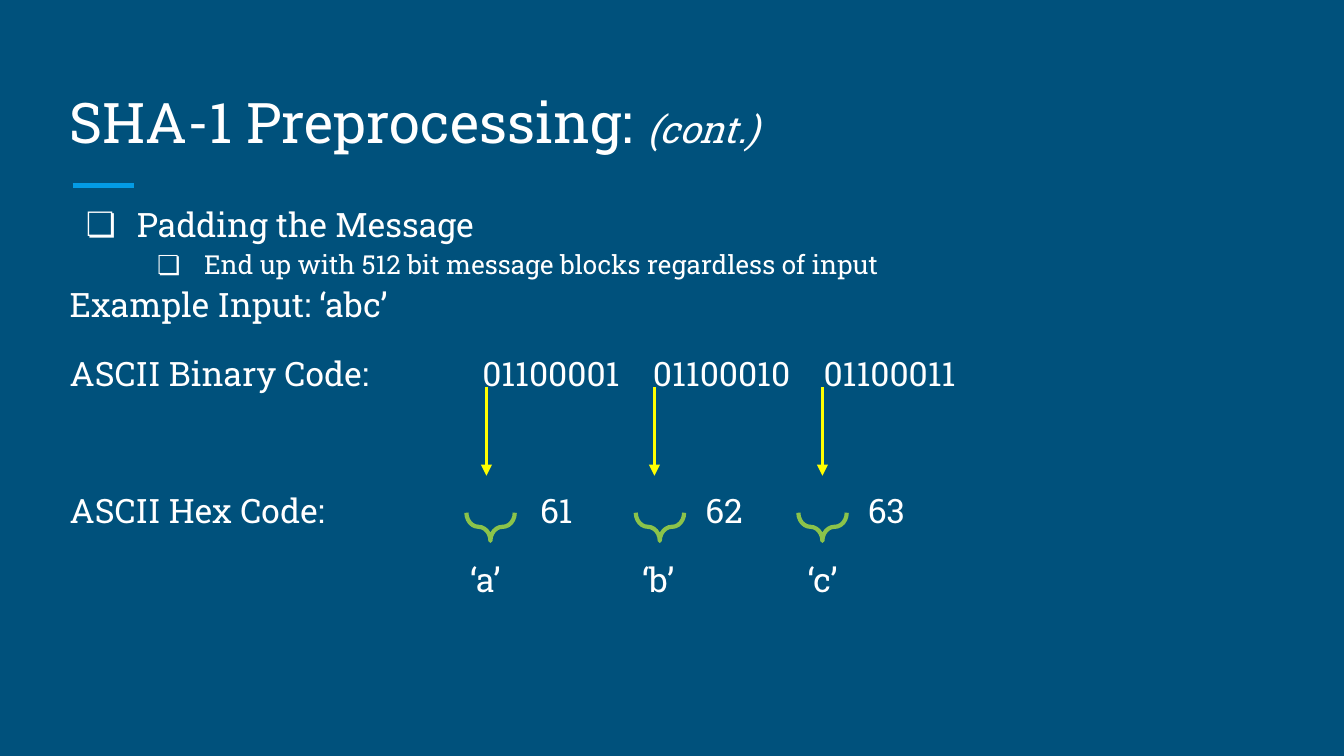
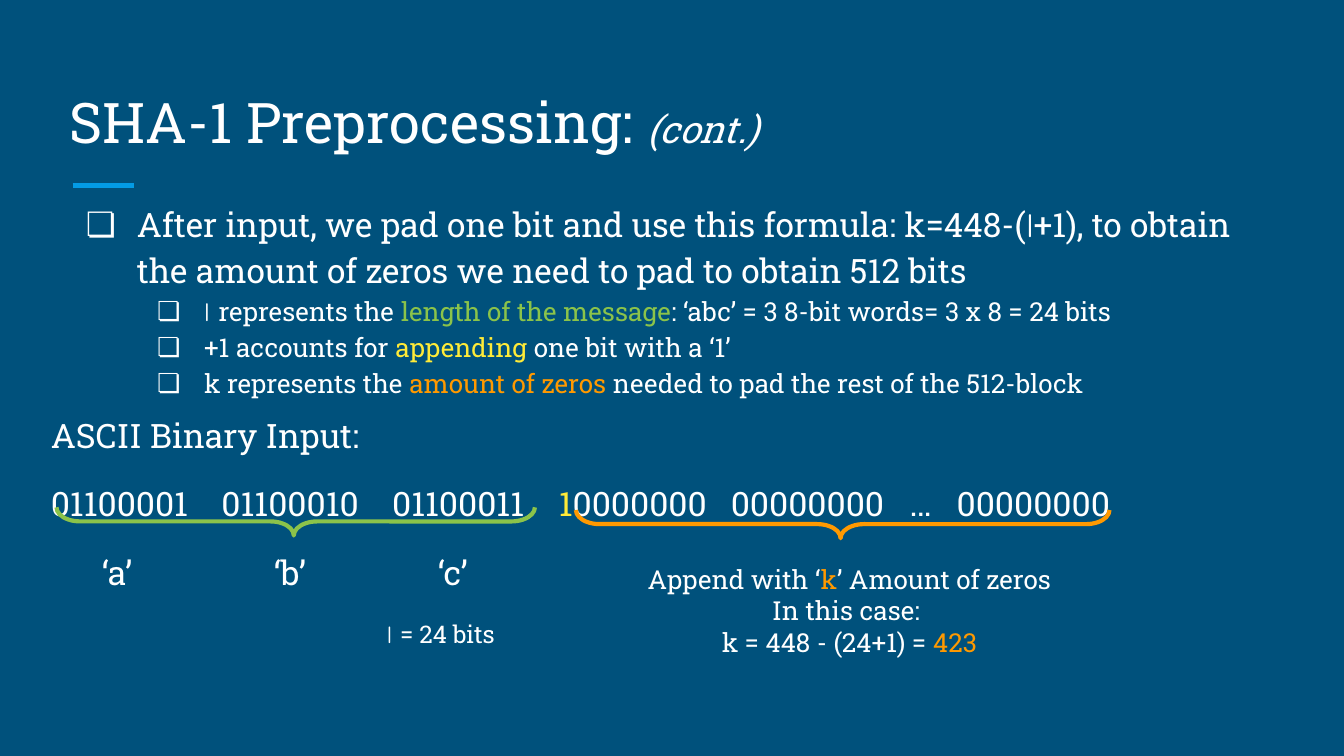
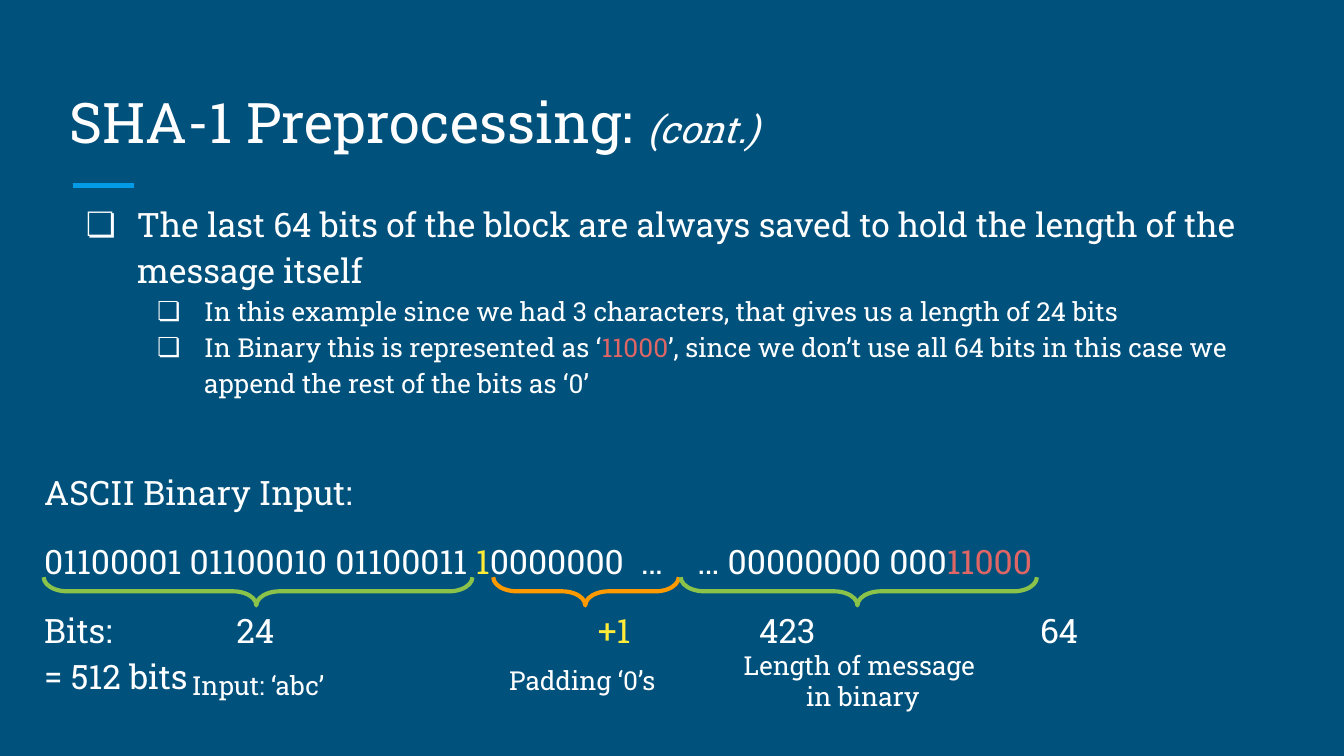
from lxml import etree
from pptx import Presentation
from pptx.dml.color import RGBColor
from pptx.enum import shapes, text
from pptx.oxml import ns
from pptx.util import Inches, Pt

NAVY, BLUE, WHITE = "00517C", "039BE5", "FFFFFF"
GREEN, YELLOW, ORANGE, RED = "8BC34A", "FFEB38", "FF9900", "E06666"
ARROW = "FFFF00"
SLAB, COMIC = "Roboto Slab", "Comic Neue"
PAD = 0.1
# Left indent, hanging indent and text size of each bullet level
LEVELS = [(0.5, -0.38, 18), (1, -0.35, 14)]


def rgb(code):
    return RGBColor.from_string(code)


def sub(parent, tag, **attrs):
    return etree.SubElement(parent, ns.qn(tag), attrs)


class Deck:
    def __init__(self):
        self.prs = Presentation()
        self.prs.slide_width, self.prs.slide_height = Inches(10), Inches(10 * 9 / 16)
        fill = self.prs.slide_master.background.fill
        fill.solid()
        fill.fore_color.rgb = rgb(NAVY)

    def page(self, title, note):
        """Start a slide with its title and the short rule below it."""
        self.slide = self.prs.slides.add_slide(self.prs.slide_layouts[5])
        head = self.slide.shapes.title
        head.left, head.top = Inches(0.42), Inches(0.5)
        head.width, head.height = Inches(9.15), Inches(0.75)
        frame = self.frame(head, text.MSO_ANCHOR.BOTTOM)
        para = frame.paragraphs[0]
        self.fill(para, [title, note], 30)
        para.alignment = text.PP_ALIGN.LEFT
        para.runs[1].font.size = Pt(20)
        para.runs[1].font.italic = True
        self.line((0.54, 1.38), (1, 1.38), BLUE, 3)

    def frame(self, shape, anchor=text.MSO_ANCHOR.TOP):
        frame = shape.text_frame
        frame.word_wrap = True
        frame.auto_size = text.MSO_AUTO_SIZE.NONE
        frame.vertical_anchor = anchor
        frame.margin_left = frame.margin_right = Inches(PAD)
        frame.margin_top = frame.margin_bottom = Inches(PAD)
        return frame

    def fill(self, para, parts, size):
        """Add runs; a part is a string or (string, colour[, font])."""
        font = para.font
        font.size, font.name, font.color.rgb = Pt(size), SLAB, rgb(WHITE)
        for part in [parts] if isinstance(parts, str) else parts:
            words, *look = [part] if isinstance(part, str) else part
            run = para.add_run()
            run.text = words
            if look:
                run.font.color.rgb = rgb(look[0])
            if look[1:]:
                run.font.name = look[1]

    def box(self, x, y, w, h):
        shape = self.slide.shapes.add_textbox(*map(Inches, (x, y, w, h)))
        return self.frame(shape)

    def paras(self, frame, count):
        return [frame.paragraphs[0]] + [frame.add_paragraph() for _ in range(count - 1)]

    def bullets(self, height, *items):
        """Items are (level, parts)."""
        frame = self.box(0.42, 1.37, 9.15, height)
        for para, (level, parts) in zip(self.paras(frame, len(items)), items):
            left, hang, size = LEVELS[level]
            para.level = level
            prop = para._p.get_or_add_pPr()
            prop.set("marL", str(Inches(left)))
            prop.set("indent", str(Inches(hang)))
            sub(sub(prop, "a:buClr"), "a:srgbClr", val=WHITE)
            sub(prop, "a:buFont", typeface=SLAB)
            sub(prop, "a:buChar", char="❏")
            self.fill(para, parts, size)
            para.line_spacing = 1.15

    def rows(self, x, y, w, h, *items):
        """Items are (parts, tab places on the slide, space before, size)."""
        frame = self.box(x, y, w, h)
        for para, (parts, tabs, gap, size) in zip(self.paras(frame, len(items)), items):
            if tabs:
                stops = sub(para._p.get_or_add_pPr(), "a:tabLst")
                for tab in tabs:
                    sub(stops, "a:tab", pos=str(Inches(tab - x - PAD)), algn="l")
            self.fill(para, parts, size)
            para.line_spacing = 1.15
            para.space_before = Pt(gap)

    def label(self, x, y, w, h, *lines, align=text.PP_ALIGN.CENTER):
        frame = self.box(x, y, w, h)
        for para, parts in zip(self.paras(frame, len(lines)), lines):
            self.fill(para, parts, 14)
            para.alignment = align

    def brace(self, mid, y, span, color=GREEN):
        """Brace pointing down, centred on (mid, y)."""
        deep = 0.21
        shape = self.slide.shapes.add_shape(
            shapes.MSO_SHAPE.RIGHT_BRACE, Inches(mid - deep / 2),
            Inches(y - span / 2), Inches(deep), Inches(span))
        shape.rotation = 90
        shape.adjustments[0], shape.adjustments[1] = 0.834, 0.504
        shape.shadow.inherit = False
        shape.fill.background()
        shape.line.color.rgb, shape.line.width = rgb(color), Pt(2.25)

    def line(self, start, end, color, width, arrow=False):
        link = self.slide.shapes.add_connector(
            shapes.MSO_CONNECTOR.STRAIGHT, *map(Inches, start + end))
        link.line.color.rgb, link.line.width = rgb(color), Pt(width)
        if arrow:
            sub(link.line._get_or_add_ln(), "a:tailEnd", type="triangle")
        sub(link._element.spPr, "a:effectLst")


def main():
    deck = Deck()
    title = ("SHA-1 Preprocessing: ", "(cont.)")
    ell = ("l", WHITE, COMIC)

    # Slide 1: input as binary and hex
    deck.page(*title)
    deck.bullets(0.82, (0, "Padding the Message"),
                 (1, "End up with 512 bit message blocks regardless of input"))
    deck.rows(0.42, 1.97, 8.66, 2.83,
              ("Example Input: ‘abc’", [], 0, 18),
              ("ASCII Binary Code:\t01100001\t01100010\t01100011", [3.59, 4.86, 6.13], 12, 18),
              ("ASCII Hex Code:\t61\t62\t63", [4.02, 5.25, 6.46], 48.5, 18),
              ("\t‘a’\t‘b’\t‘c’", [3.5, 4.78, 6.01], 12, 18))
    for mid in (3.65, 4.91, 6.12):
        deck.brace(mid, 3.92, 0.36)
    for x in (3.62, 4.87, 6.12):
        deck.line((x, 2.88), (x, 3.54), ARROW, 1.5, arrow=True)

    # Slide 2: padding with zeros
    deck.page(*title)
    deck.bullets(
        2.18,
        (0, ["After input, we pad one bit and use this formula: k=448-(", ell,
             "+1), to obtain the amount of zeros we need to pad to obtain 512 bits"]),
        (1, [("l ", WHITE, COMIC), "represents the ", ("length of the message", GREEN),
             ": ‘abc’ = 3 8-bit words= 3 x 8 = 24 bits"]),
        (1, ["+1 accounts for ", ("appending ", YELLOW), "one bit with a ‘1’"]),
        (1, ["k represents the ", ("amount of zeros", ORANGE),
             " needed to pad the rest of the 512-block"]))
    deck.rows(0.28, 2.94, 8.66, 1.84,
              ("ASCII Binary Input:", [], 0, 18),
              (["01100001\t01100010\t01100011\t", ("1", YELLOW),
                "0000000\t00000000\t…\t00000000"],
               [1.65, 2.92, 4.16, 5.44, 6.77, 7.12], 12, 18),
              ("\t‘a’\t‘b’\t‘c’", [0.76, 2.04, 3.26], 12, 18),
              (["\t", ("l ", WHITE, COMIC), "= 24 bits"], [2.88], 12, 13))
    deck.brace(2.2, 3.88, 3.56)
    deck.label(4.67, 4.09, 3.3, 0.91,
               ["Append with ‘", ("k", ORANGE), "’ Amount of zeros"],
               "In this case: ",
               ["k = 448 - (24+1) = ", ("423", ORANGE)])
    deck.brace(6.27, 3.9, 3.97, ORANGE)

    # Slide 3: length of the message in the last 64 bits
    deck.page(*title)
    deck.rows(0.23, 3.37, 9.22, 1.84,
              ("ASCII Binary Input:", [], 0, 18),
              (["01100001 01100010 01100011 ", ("1", YELLOW),
                "0000000\t…\t… 00000000 000", ("11000", RED)], [4.77, 5.19], 12, 18),
              (["Bits:\t24\t", ("+1", YELLOW), "\t423\t64"],
               [1.76, 4.45, 5.65, 7.74], 12, 18),
              ("= 512 bits", [], 0, 18))
    deck.bullets(
        1.6,
        (0, "The last 64 bits of the block are always saved to hold the length of the "
            "message itself"),
        (1, "In this example since we had 3 characters, that gives us a length of 24 bits"),
        (1, ["In Binary this is represented as ‘", ("11000", RED),
             "’, since we don’t use all 64 bits in this case we append the rest of the "
             "bits as ‘0’"]))
    for mid, span, color in ((1.92, 3.19, GREEN), (4.36, 1.38, ORANGE), (6.39, 2.65, GREEN)):
        deck.brace(mid, 4.4, span, color)
    deck.label(3.69, 4.84, 1.35, 0.44, "Padding ‘0’s", align=text.PP_ALIGN.LEFT)
    deck.label(5.14, 4.73, 2.51, 0.67, "Length of message", " in binary")
    deck.label(0.83, 4.88, 2.18, 0.44, "Input: ‘abc’")

    deck.prs.save("out.pptx")


if __name__ == "__main__":
    main()
